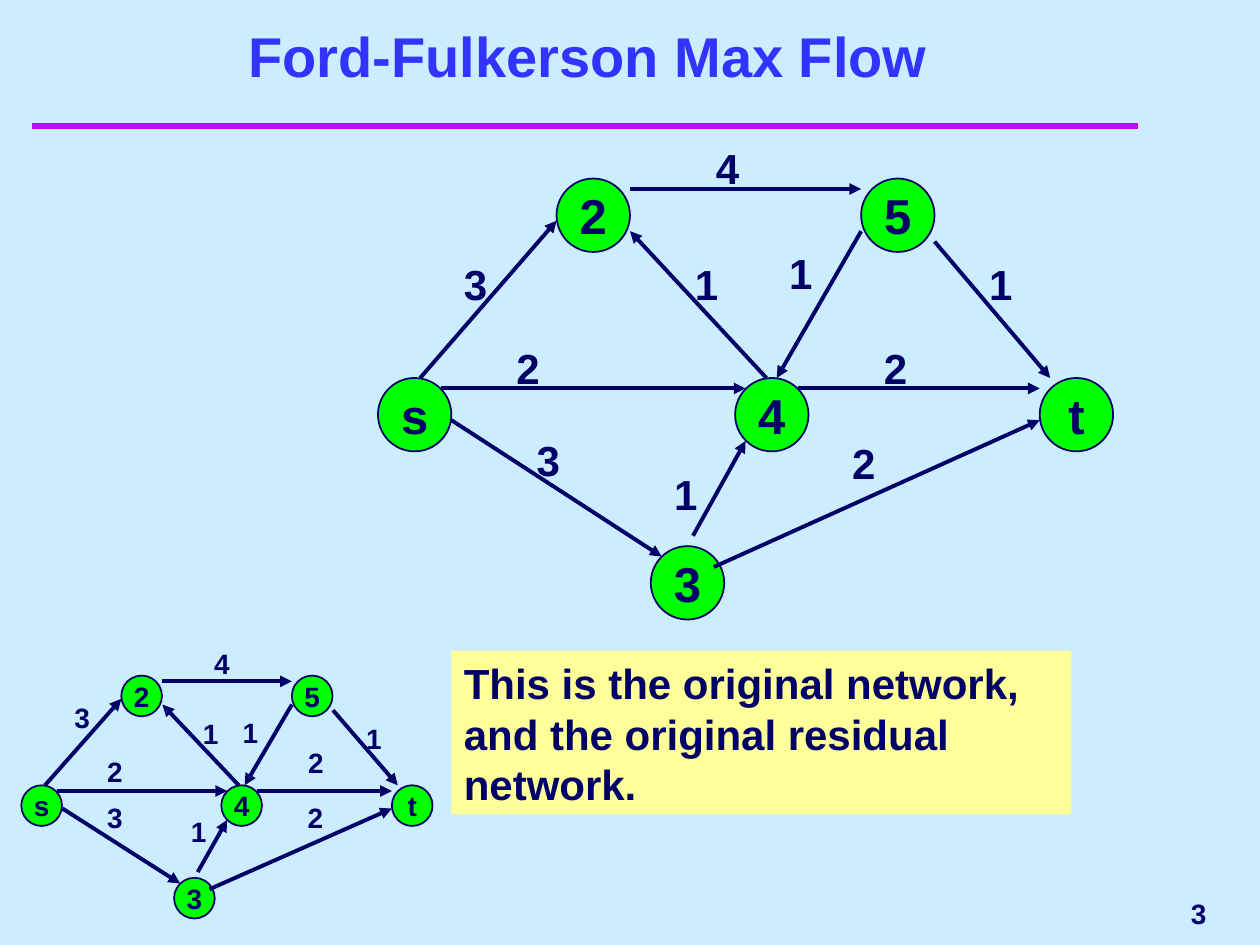
from lxml.etree import SubElement
from pptx import Presentation
from pptx.dml.color import RGBColor
from pptx.enum.shapes import MSO_CONNECTOR, MSO_SHAPE
from pptx.enum.text import MSO_ANCHOR, MSO_AUTO_SIZE, PP_ALIGN
from pptx.oxml.ns import qn
from pptx.util import Cm, Pt

SKY = RGBColor(0xCC, 0xEC, 0xFF)
NAVY = RGBColor(0x00, 0x00, 0x66)
BLUE = RGBColor(0x33, 0x33, 0xFF)
GREEN = RGBColor(0x00, 0xFF, 0x00)
CREAM = RGBColor(0xFF, 0xFF, 0x99)
PINK = RGBColor(0xCC, 0x00, 0xFF)

NODES = [
    ("s", 7.62, 7.62), ("2", 11.22, 3.6), ("4", 14.82, 7.62),
    ("5", 17.36, 3.6), ("3", 13.12, 11.01), ("t", 20.96, 7.62),
]
EDGES = [
    (9.1, 8.47, 13.34, 11.22), (8.47, 7.62, 11.22, 4.45),
    (8.89, 7.83, 15.03, 7.83), (15.45, 7.62, 12.7, 4.66),
    (12.7, 3.81, 17.36, 3.81), (17.36, 4.66, 15.66, 7.62),
    (16.09, 7.83, 20.96, 7.83), (14.39, 11.43, 20.96, 8.47),
    (18.84, 4.87, 21.17, 7.62), (13.97, 10.8, 15.03, 8.89),
]
COSTS = "4112212331"
LARGE = {
    "left": 7.62, "top": 3.6, "across": 1, "down": 1,
    "node": 1.48, "size": 28, "cost": 24, "box": (1.5, 1.27),
    "spots": [
        (14.18, 2.75), (19.69, 5.08), (15.66, 4.87), (17.57, 6.77), (16.93, 8.7),
        (13.34, 9.31), (10.16, 6.77), (9.1, 5.08), (10.57, 8.64), (13.76, 5.08),
    ],
}
SMALL = {
    "left": 0.43, "top": 13.62, "across": 0.56, "down": 0.55,
    "node": 0.82, "size": 16, "cost": 16, "box": (0.84, 0.94),
    "spots": [
        (4.07, 12.9), (7.13, 14.42), (4.64, 14.3), (5.96, 14.9), (5.95, 16.02),
        (3.6, 16.3), (1.91, 15.08), (1.25, 14.0), (1.91, 16.02), (3.84, 14.33),
    ],
}


class Deck:
    font = {"name": "Arial", "bold": True}

    def __init__(self):
        self.show = Presentation()
        self.show.slide_width, self.show.slide_height = Cm(25.4), Cm(19.05)
        self.slide = self.show.slides.add_slide(self.show.slide_layouts[5])
        fill = self.slide.background.fill
        fill.solid()
        fill.fore_color.rgb = SKY
        self.shapes = self.slide.shapes

    def label(self, shape, text, size, color=NAVY, align=PP_ALIGN.LEFT, **frame):
        body = shape.text_frame
        base = {"word_wrap": True, "vertical_anchor": MSO_ANCHOR.TOP}
        for key, value in (base | frame).items():
            setattr(body, key, value)
        line = body.paragraphs[0]
        line.text, line.alignment = text, align
        font = line.runs[0].font
        for key, value in (self.font | {"size": Pt(size)}).items():
            setattr(font, key, value)
        font.color.rgb = color
        return line

    def title(self, text, x, y, w, h):
        shape = self.slide.shapes.title
        shape.left, shape.top, shape.width, shape.height = map(Cm, (x, y, w, h))
        self.label(shape, text, 32, BLUE, PP_ALIGN.CENTER,
                   vertical_anchor=MSO_ANCHOR.BOTTOM, auto_size=MSO_AUTO_SIZE.NONE)

    def text(self, text, x, y, w, h, size, **form):
        self.label(self.shapes.add_textbox(*map(Cm, (x, y, w, h))), text, size, **form)

    def shape(self, kind, x, y, w, h, color):
        shape = self.shapes.add_shape(kind, *map(Cm, (x, y, w, h)))
        shape.shadow.inherit = False
        shape.fill.solid()
        shape.fill.fore_color.rgb = color
        return shape

    def node(self, text, x, y, side, size):
        shape = self.shape(MSO_SHAPE.OVAL, x, y, side, side, GREEN)
        shape.line.color.rgb, shape.line.width = NAVY, Pt(1)
        self.label(shape, text, size, align=PP_ALIGN.CENTER, word_wrap=False,
                   vertical_anchor=MSO_ANCHOR.MIDDLE)

    def note(self, text, x, y, w, h):
        shape = self.shape(MSO_SHAPE.RECTANGLE, x, y, w, h, CREAM)
        shape.line.fill.background()
        self.label(shape, text, 24).line_spacing = Pt(29)

    def line(self, ends, color=NAVY, width=2.25, arrow=True):
        line = self.shapes.add_connector(MSO_CONNECTOR.STRAIGHT, *map(Cm, ends))
        line.line.color.rgb, line.line.width = color, Pt(width)
        props = line._element.spPr
        if arrow:
            SubElement(props.find(qn("a:ln")), qn("a:tailEnd"), type="triangle")
        SubElement(props, qn("a:effectLst"))

    def graph(self, form):
        def place(x, y):
            return (form["left"] + (x - LARGE["left"]) * form["across"],
                    form["top"] + (y - LARGE["top"]) * form["down"])

        self.shapes = self.slide.shapes.add_group_shape().shapes
        for cost, spot in zip(COSTS, form["spots"]):
            self.text(cost, *spot, *form["box"], form["cost"],
                      auto_size=MSO_AUTO_SIZE.SHAPE_TO_FIT_TEXT)
        for name, x, y in NODES:
            self.node(name, *place(x, y), form["node"], form["size"])
        for edge in EDGES:
            self.line(place(*edge[:2]) + place(*edge[2:]))
        self.shapes = self.slide.shapes


def main():
    deck = Deck()
    deck.line((0.64, 2.54, 22.94, 2.54), PINK, 4, arrow=False)
    deck.graph(SMALL)
    deck.text("3", 19.69, 17.78, 4.88, 1.27, 16, align=PP_ALIGN.RIGHT,
              vertical_anchor=MSO_ANCHOR.MIDDLE)
    deck.title("Ford-Fulkerson Max Flow", 1.06, 0.85, 21.59, 1.06)
    deck.note("This is the original network, and the original residual network.",
              9.1, 13.12, 12.5, 3.3)
    deck.graph(LARGE)
    deck.show.save("out.pptx")


if __name__ == "__main__":
    main()
